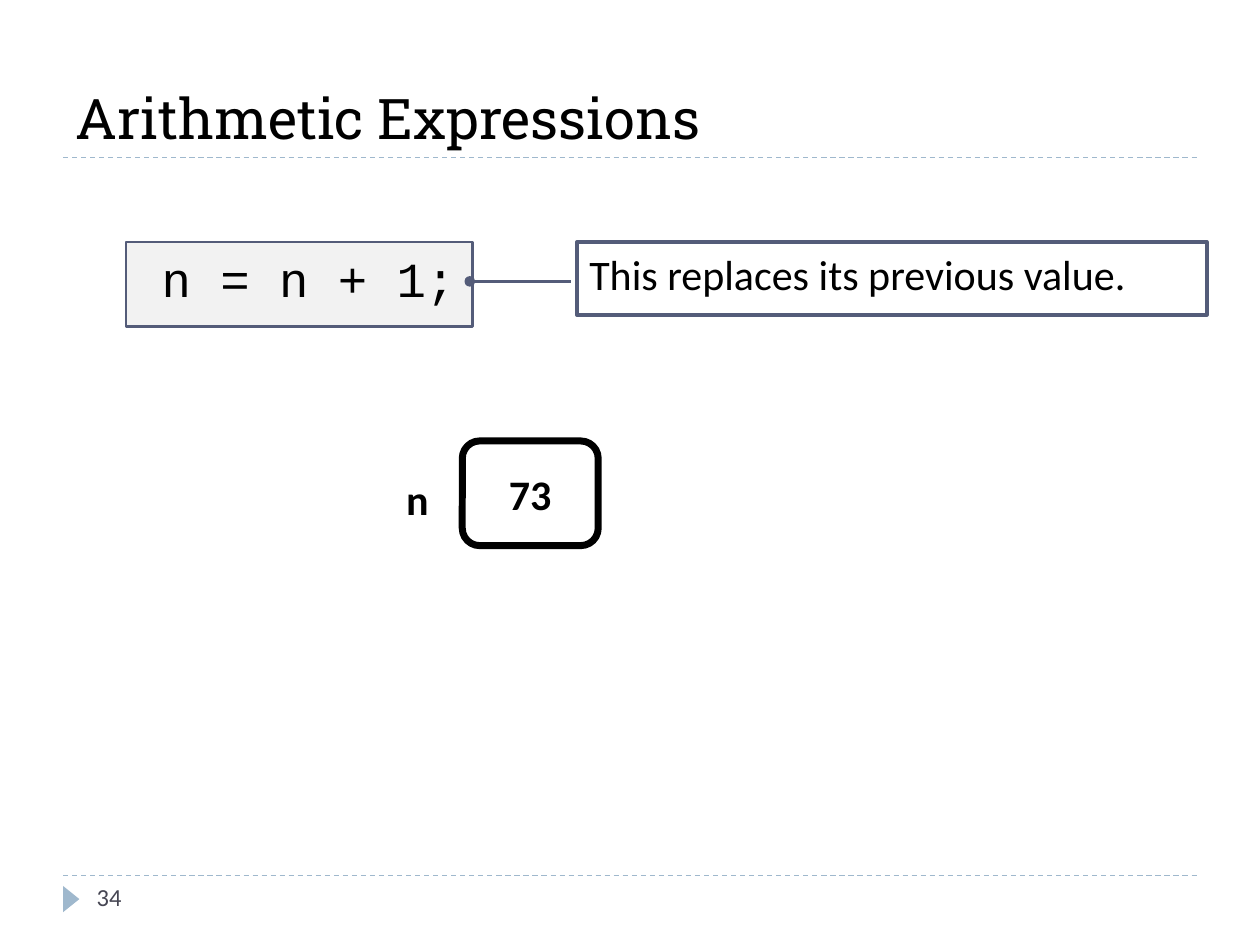
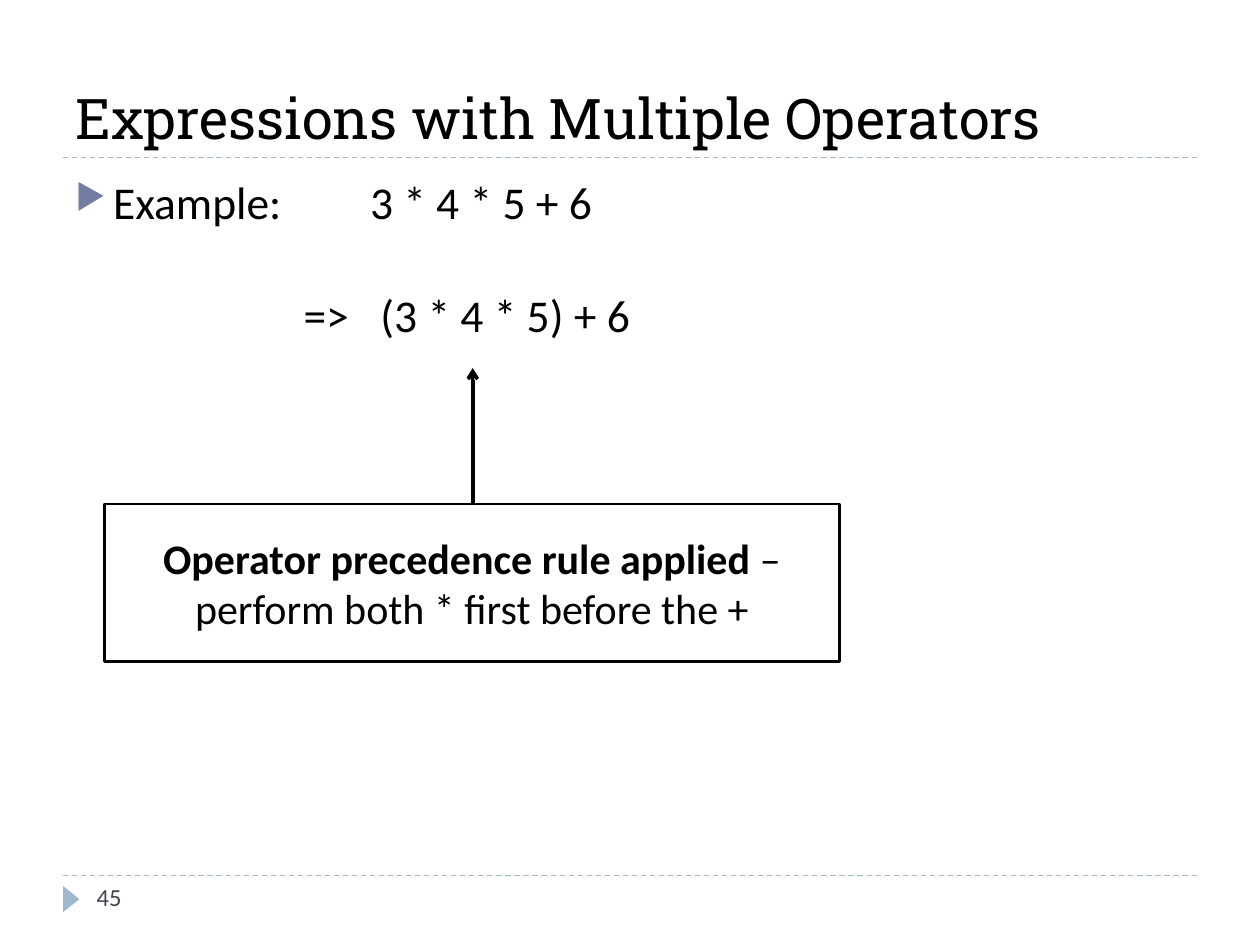
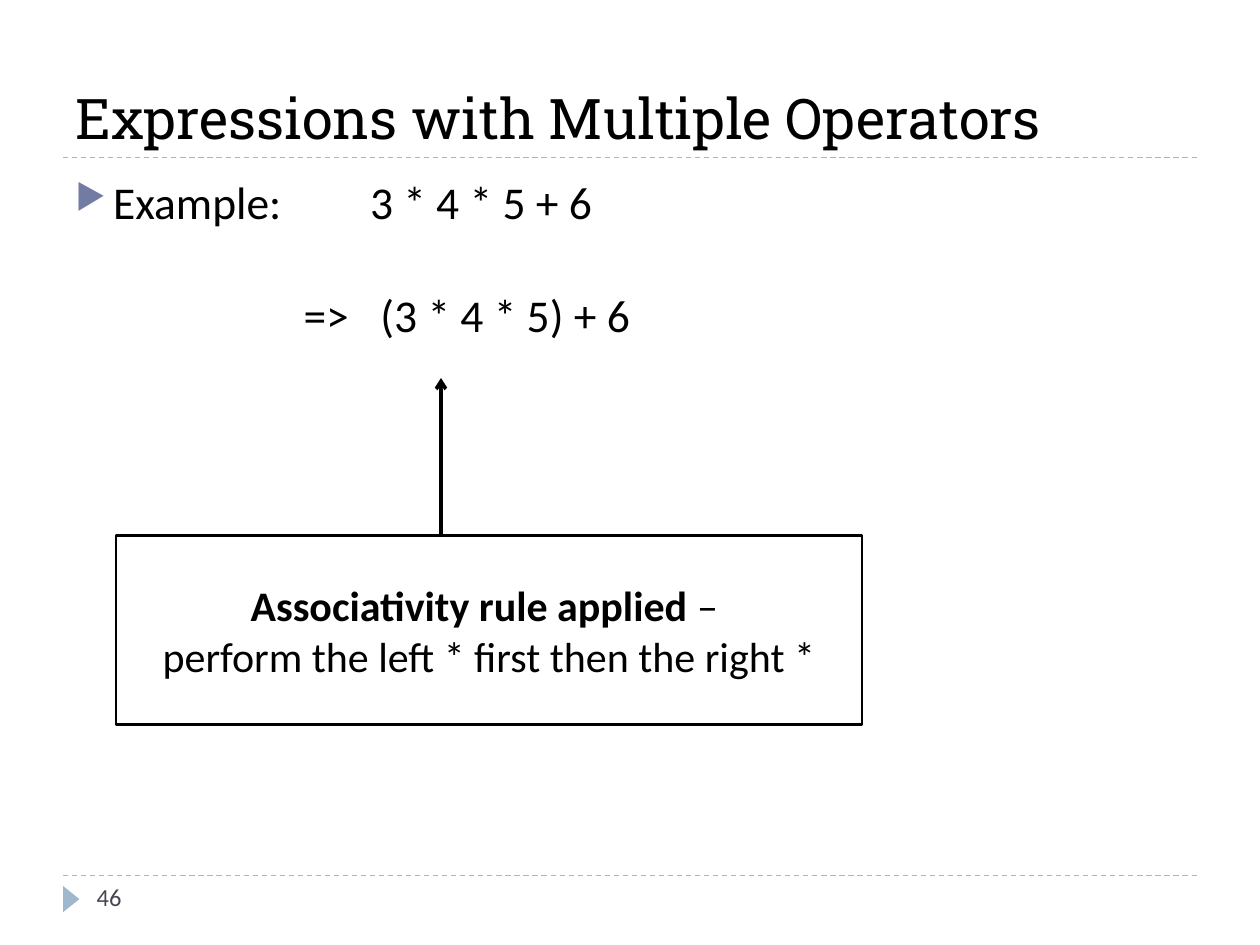
from lxml import etree
from pptx import Presentation
from pptx.dml.color import RGBColor
from pptx.enum.dml import MSO_LINE
from pptx.enum.shapes import MSO_CONNECTOR, MSO_SHAPE
from pptx.enum.text import MSO_ANCHOR, PP_ALIGN
from pptx.oxml.ns import qn
from pptx.util import Cm, Pt

RECTANGLE = MSO_SHAPE.RECTANGLE
ROUNDED = MSO_SHAPE.ROUNDED_RECTANGLE
CALLOUT = MSO_SHAPE.LINE_CALLOUT_1
TRIANGLE = MSO_SHAPE.ISOSCELES_TRIANGLE
STRAIGHT = MSO_CONNECTOR.STRAIGHT
DASH = MSO_LINE.DASH
TOP, MIDDLE, BOTTOM = MSO_ANCHOR.TOP, MSO_ANCHOR.MIDDLE, MSO_ANCHOR.BOTTOM
LEFT, CENTER, RIGHT = PP_ALIGN.LEFT, PP_ALIGN.CENTER, PP_ALIGN.RIGHT

BLACK = RGBColor(0x00, 0x00, 0x00)
WHITE = RGBColor(0xFF, 0xFF, 0xFF)
PALE_GREY = RGBColor(0xF2, 0xF2, 0xF2)
SLATE = RGBColor(0x54, 0x5C, 0x79)
SKY = RGBColor(0x9F, 0xB8, 0xCD)
DARK_GREY = RGBColor(0x46, 0x46, 0x53)

TITLE_FONT = {"name": "Roboto Slab", "size": Pt(32)}
CODE_FONT = {"name": "Courier New", "size": Pt(28)}
BODY_FONT = {"name": "Calibri", "size": Pt(26)}
NOTE_FONT = {"name": "Calibri", "size": Pt(24)}
BOLD_FONT = {**NOTE_FONT, "bold": True}
NUMBER_FONT = {"name": "Calibri", "size": Pt(14)}


def add_block(slide, at, paragraphs, kind=None, color=BLACK, fill=None,
              outline=None, weight=1.5, anchor=TOP, align=LEFT):
    box = [Cm(length) for length in at]
    if kind is None:
        block = slide.shapes.add_textbox(*box)
    else:
        block = slide.shapes.add_shape(kind, *box)
        block.shadow.inherit = False
        if fill is None:
            block.fill.background()
        else:
            block.fill.solid()
            block.fill.fore_color.rgb = fill
        if outline is None:
            block.line.fill.background()
        else:
            block.line.color.rgb = outline
            block.line.width = Pt(weight)
    frame = block.text_frame
    frame.word_wrap = True
    frame.vertical_anchor = anchor
    for index, runs in enumerate(paragraphs):
        paragraph = frame.add_paragraph() if index else frame.paragraphs[0]
        paragraph.alignment = align
        for text, style in runs:
            run = paragraph.add_run()
            run.text = text
            run.font.color.rgb = color
            for attribute, value in style.items():
                setattr(run.font, attribute, value)
    return block


def add_line(slide, start, end, color, weight):
    ends = [Cm(length) for length in (*start, *end)]
    line = slide.shapes.add_connector(STRAIGHT, *ends)
    line.line.color.rgb = color
    line.line.width = Pt(weight)
    etree.SubElement(line._element.spPr, qn("a:effectLst"))
    return line


prs = Presentation()
prs.slide_width, prs.slide_height = Cm(25.4), Cm(19.05)

PAGES = [
    ("Arithmetic Expressions", "34"),
    ("Expressions with Multiple Operators", "45"),
    ("Expressions with Multiple Operators", "46"),
]
slides = []
for title, number in PAGES:
    slide = prs.slides.add_slide(prs.slide_layouts[6])
    for rule_y in (17.65, 3.18):
        rule = add_line(slide, (1.27, rule_y), (24.13, rule_y), SKY, 0.75)
        rule.line.dash_style = DASH
    marker = add_block(slide, (1.17, 17.96, 0.53, 0.33), [], TRIANGLE, fill=SKY)
    marker.rotation = 90
    add_block(slide, (1.27, 0.43, 22.86, 2.74), [[(title, TITLE_FONT)]], anchor=BOTTOM)
    add_block(slide, (1.7, 17.65, 5.51, 1.02), [[(number, NUMBER_FONT)]], color=DARK_GREY)
    slides.append(slide)

assignment = slides[0]
statement = add_block(assignment, (2.54, 4.88, 6.99, 1.7), [[(" n = n + 1;", CODE_FONT)]],
                      RECTANGLE, fill=PALE_GREY, outline=SLATE)
statement.text_frame.margin_left = statement.text_frame.margin_right = Cm(0.13)
remark = add_block(assignment, (11.63, 4.88, 12.7, 1.47),
                   [[("This replaces its previous value.", NOTE_FONT)]],
                   CALLOUT, fill=WHITE, outline=SLATE, weight=2)
for index, position in enumerate((0.54, -0.01, 0.54, -0.17)):
    remark.adjustments[index] = position
etree.SubElement(remark.line._get_or_add_ln(), qn("a:tailEnd"), type="oval")
add_block(assignment, (9.32, 8.89, 2.74, 2.11), [[("73", BOLD_FONT)]],
          ROUNDED, outline=BLACK, weight=4, anchor=MIDDLE, align=CENTER)
add_block(assignment, (7.82, 9.32, 1.07, 1.47), [[("n", BOLD_FONT)]],
          anchor=MIDDLE, align=RIGHT)

RULES = [
    ((2.11, 10.16, 14.81, 3.18), (9.53, 7.42),
     [[("Operator precedence rule applied", BOLD_FONT),
       (" – perform both * first before the +", NOTE_FONT)]]),
    ((2.34, 10.8, 15.04, 3.81), (8.89, 7.62),
     [[("Associativity rule applied", BOLD_FONT), (" – ", NOTE_FONT)],
      [("perform the left * first then the right *", NOTE_FONT)]]),
]
for slide, (rule_box, (arrow_x, arrow_tip), explanation) in zip(slides[1:], RULES):
    example = add_block(slide, (1.27, 3.38, 22.86, 13.72),
                        [[("Example:\t3 * 4 * 5 + 6", BODY_FONT)]])
    grouped = add_block(slide, (2.54, 4.65, 13.54, 3.38),
                        [[("=>\t(3 * 4 * 5) + 6", BODY_FONT)]], anchor=MIDDLE)
    grouped.text_frame.margin_left = Cm(3.58)

    bullet = example.text_frame.paragraphs[0]._p.get_or_add_pPr()
    bullet.set("marL", str(Cm(0.76)))
    bullet.set("indent", str(-Cm(0.76)))
    bullet_color = etree.SubElement(bullet, qn("a:buClr"))
    etree.SubElement(bullet_color, qn("a:srgbClr"), val="727CA3")
    etree.SubElement(bullet, qn("a:buSzPct"), val="76000")
    etree.SubElement(bullet, qn("a:buChar"), char="▶")
    for expression, stop in ((example, 5.94), (grouped, 1.55)):
        properties = expression.text_frame.paragraphs[0]._p.get_or_add_pPr()
        stops = etree.SubElement(properties, qn("a:tabLst"))
        etree.SubElement(stops, qn("a:tab"), pos=str(Cm(stop)), algn="l")

    add_block(slide, rule_box, explanation, RECTANGLE, outline=BLACK,
              anchor=MIDDLE, align=CENTER)
    arrow = add_line(slide, (arrow_x, rule_box[1]), (arrow_x, arrow_tip), BLACK, 2)
    etree.SubElement(arrow.line._get_or_add_ln(), qn("a:tailEnd"), type="arrow")

prs.save("out.pptx")
